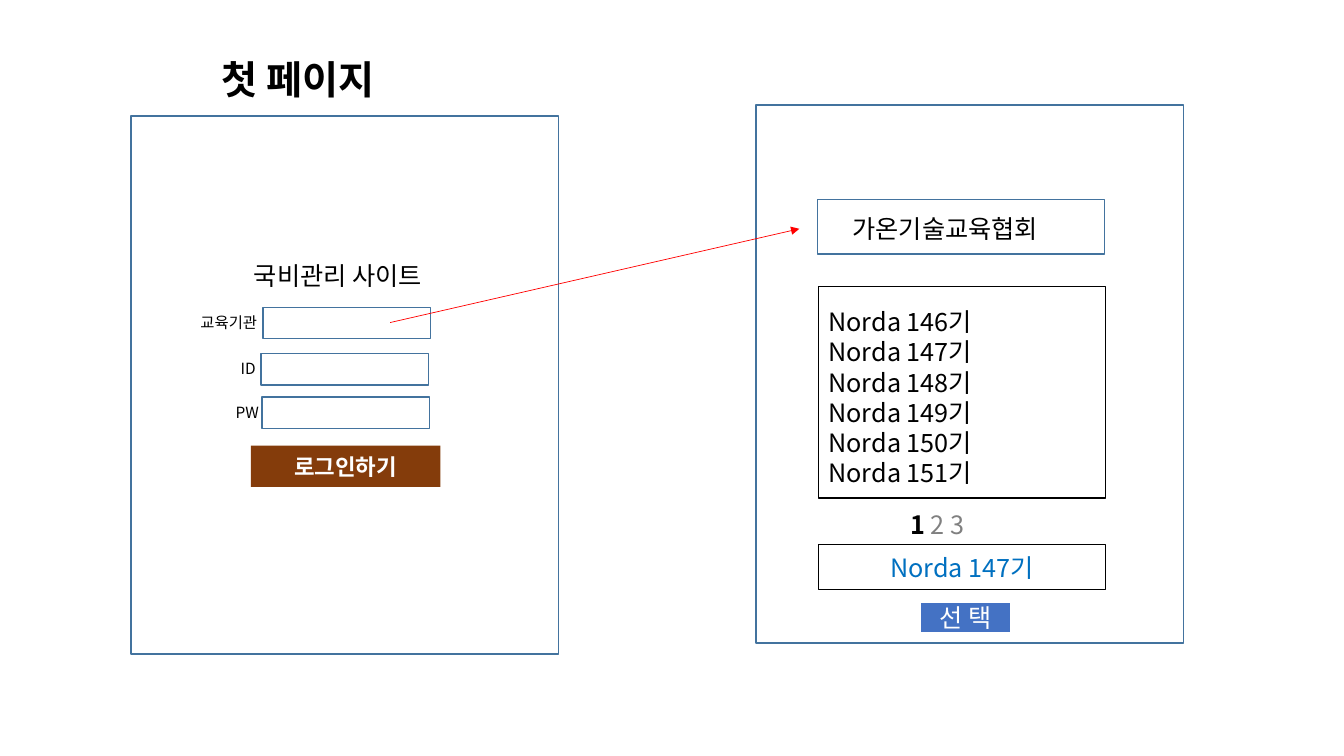
from lxml import etree
from pptx import Presentation, util as u
from pptx.dml.color import RGBColor
from pptx.enum import shapes, text
from pptx.oxml.ns import qn

COLUMNS, ROWS = 160, 90
WIDTH, HEIGHT = u.Inches(13.33), u.Inches(7.5)
FONT = "Noto Sans CJK KR"
COLORS = {
    "white": "FFFFFF", "black": "000000", "grey": "808080", "outline": "43739E",
    "brown": "843C0B", "blue": "4472C4", "choice": "0070C0", "red": "FF0000",
}
PANEL_SIZE = (50.88, 64.08)
FIELD_SIZE = (19.92, 3.72)
LABEL_SIZE = (14.64, 3.48)
LIST_LEFT, LIST_WIDTH = 97.44, 34.2


def color(name):
    return RGBColor.from_string(COLORS[name])


def across(columns):
    return round(WIDTH * columns / COLUMNS)


def down(rows):
    return round(HEIGHT * rows / ROWS)


def place(left, top, width, height):
    return across(left), down(top), across(width), down(height)


def write(frame, lines, size=18, ink="black", bold=False, align=None):
    for index, line in enumerate(lines):
        para = frame.paragraphs[0] if index == 0 else frame.add_paragraph()
        para.alignment = align
        add_span(para, line, size, ink, bold)


def add_span(para, words, size, ink, bold):
    span = para.add_run()
    span.text = words
    values = {"name": FONT, "size": u.Pt(size), "bold": bold}
    for key, value in values.items():
        setattr(span.font, key, value)
    span.font.color.rgb = color(ink)
    etree.SubElement(span.font._element, qn("a:ea"), typeface=FONT)


def add_box(page, area, fill=None, line=None, weight=1):
    box = page.shapes.add_shape(shapes.MSO_SHAPE.RECTANGLE, *place(*area))
    box.shadow.inherit = False
    if fill:
        box.fill.solid()
        box.fill.fore_color.rgb = color(fill)
    else:
        box.fill.background()
    if line:
        box.line.color.rgb = color(line)
        box.line.width = u.Pt(weight)
    else:
        box.line.fill.background()
    return box


def add_button(page, area, words, fill, line=None, weight=1, **style):
    box = add_box(page, area, fill, line, weight)
    box.text_frame.vertical_anchor = text.MSO_ANCHOR.MIDDLE
    write(box.text_frame, [words], align=text.PP_ALIGN.CENTER, **style)


def add_text(page, area, lines, wrap=True, **style):
    frame = page.shapes.add_textbox(*place(*area)).text_frame
    frame.word_wrap = wrap
    frame.auto_size = text.MSO_AUTO_SIZE.SHAPE_TO_FIT_TEXT
    write(frame, lines, **style)
    return frame


def add_arrow(page, start, end):
    arrow = page.shapes.add_connector(
        shapes.MSO_CONNECTOR.STRAIGHT,
        across(start[0]), down(start[1]), across(end[0]), down(end[1]))
    arrow.line.color.rgb = color("red")
    arrow.line.width = u.Pt(0.5)
    etree.SubElement(arrow.line._get_or_add_ln(), qn("a:tailEnd"), type="triangle")
    etree.SubElement(arrow._element.spPr, qn("a:effectLst"))


def add_login(page):
    add_text(page, (29.04, 30.36, 24.72, 4.8), ["국비관리 사이트"], wrap=False)
    fields = [
        ("교육기관", (22.68, 36.72), (31.32, 36.6)),
        ("ID", (27.48, 42.12), (31.08, 42.12)),
        ("PW", (26.88, 47.4), (31.2, 47.28)),
    ]
    for name, label_at, field_at in fields:
        add_box(page, field_at + FIELD_SIZE, "white", "outline")
        add_text(page, label_at + LABEL_SIZE, [name], size=11)
    add_button(page, (29.88, 53.04, 22.56, 4.92), "로그인하기", "brown",
               size=16, ink="white", bold=True)


def add_picker(page):
    add_box(page, (97.32, 23.76, LIST_WIDTH, 6.48), line="outline")
    add_text(page, (100.32, 24.84, 26.64, 4.8), ["가온기술교육협회"])
    add_box(page, (LIST_LEFT, 34.08, LIST_WIDTH, 25.2), line="black")
    add_text(page, (LIST_LEFT, 35.88, 32.76, 23.04),
             [f"Norda {number}기" for number in range(146, 152)])
    pager = add_text(page, (107.16, 60, 13.2, 4.8), ["1 "], bold=True)
    add_span(pager.paragraphs[0], "2 3", 18, "grey", False)
    add_button(page, (LIST_LEFT, 64.8, LIST_WIDTH, 5.4), "Norda 147기",
               "white", "black", ink="choice")
    add_button(page, (109.56, 71.64, 10.8, 3.72), "선 택",
               "blue", "white", 1.5, ink="white")


def main():
    deck = Presentation()
    deck.slide_width, deck.slide_height = WIDTH, HEIGHT
    page = deck.slides.add_slide(deck.slide_layouts[6])
    for corner in ((15.6, 13.8), (90, 12.48)):
        add_box(page, corner + PANEL_SIZE, "white", "outline")
    add_text(page, (25.2, 6, 33.72, 6.84), ["첫 페이지"], size=28, bold=True)
    add_login(page)
    add_picker(page)
    add_arrow(page, (46.44, 38.4), (95.16, 27.24))
    deck.save("out.pptx")


if __name__ == "__main__":
    main()
